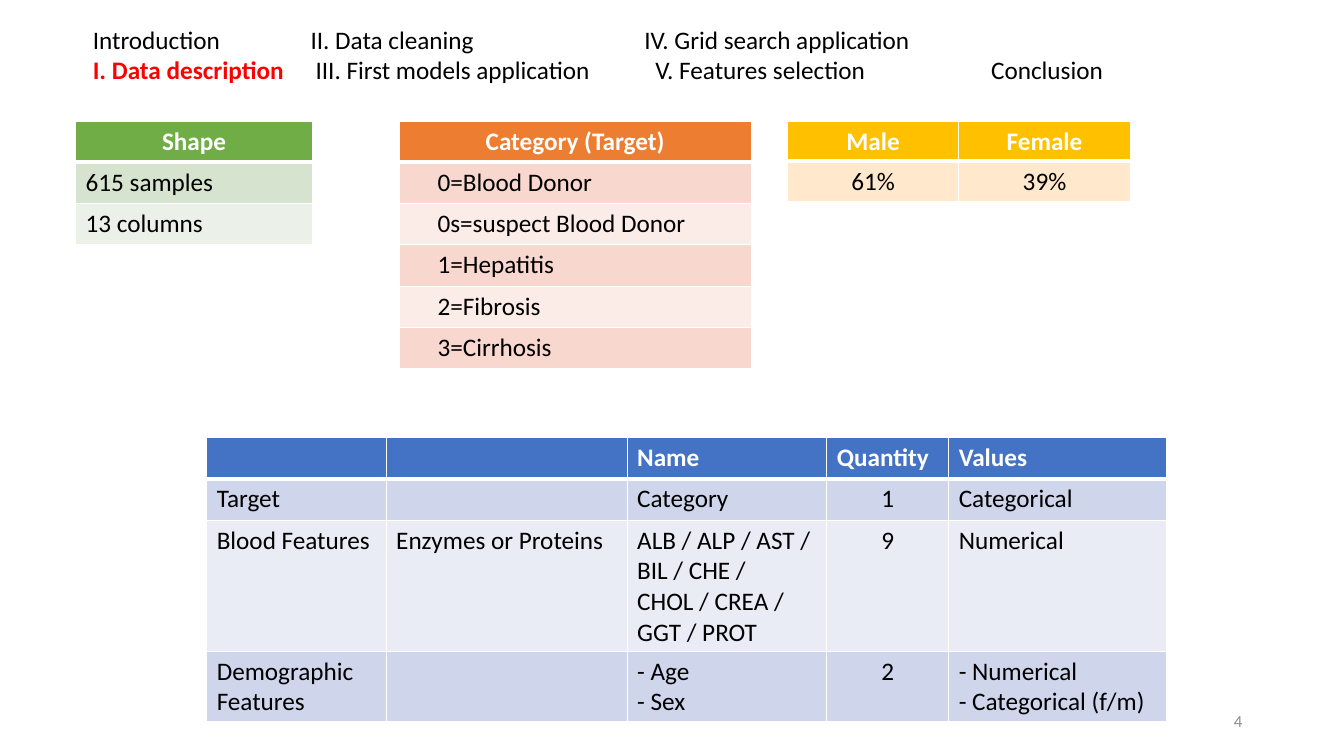
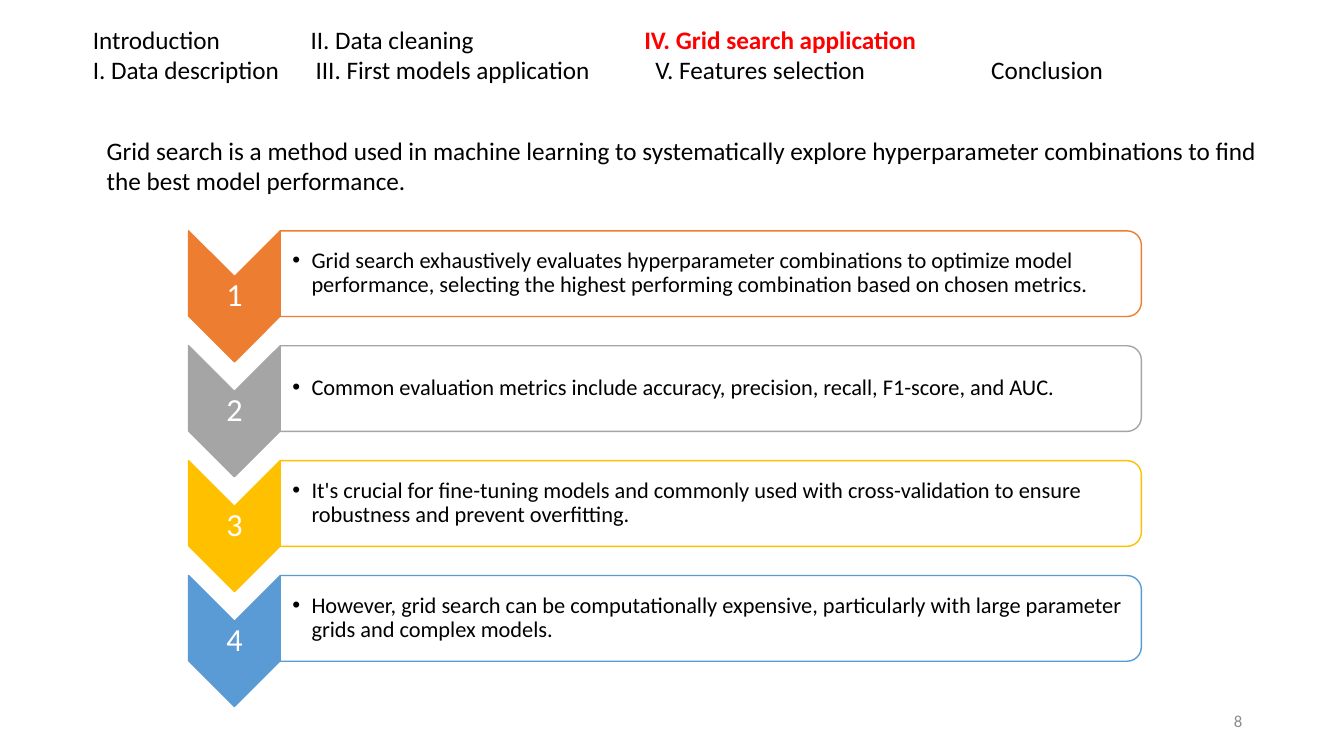
"""Builds two slides on a data set and on grid search."""
import dataclasses

import pptx
import pptx.dml.color
import pptx.enum.shapes
import pptx.enum.text
import pptx.oxml
import pptx.oxml.ns
import pptx.util

Inches = pptx.util.Inches
Align = pptx.enum.text.PP_ALIGN
Anchor = pptx.enum.text.MSO_ANCHOR
Shape = pptx.enum.shapes.MSO_SHAPE


@dataclasses.dataclass(frozen=True)
class Theme:
    font: str = "Calibri"
    black: str = "000000"
    white: str = "FFFFFF"
    red: str = "FF0000"
    muted: str = "8C8C8C"
    orange: str = "ED7D31"
    grey: str = "A5A5A5"
    gold: str = "FFC000"
    sky: str = "5B9BD5"
    blue_table: tuple = ("4472C4", "CFD5EA", "E9EBF5")
    orange_table: tuple = ("ED7D31", "F8D7CE", "FCECE8")
    green_table: tuple = ("70AD47", "D5E3CF", "EBF1E9")
    gold_table: tuple = ("FFC000", "FFE8CC", "FFF4E7")
    body_size: float = 18
    step_size: float = 16
    number_size: float = 23
    footer_size: float = 12


THEME = Theme()
SLIDE_SIZE = (13.33, 7.5)
ROW = 0.41

SECTIONS = [
    ["Introduction", "II. Data cleaning", "IV. Grid search application"],
    ["I. Data description", "III. First models application",
     "V. Features selection", "Conclusion"],
]
SECTION_TABS = [(2.16, 5.47), (2.21, 5.58, 8.91)]

TABLES = [
    dict(position=(2.05, 4.34), columns=(1.78, 2.39, 1.98, 1.21, 2.16),
         rows=(ROW, ROW, 1.3, 0.69), colors=THEME.blue_table, centered=(3,),
         cells=[
             ["", "", "Name", "Quantity", "Values"],
             ["Target", "", "Category", "1", "Categorical"],
             ["Blood Features", "Enzymes or Proteins",
              "ALB / ALP / AST / BIL / CHE / CHOL / CREA / GGT / PROT",
              "9", "Numerical"],
             ["Demographic Features", "", "- Age\n- Sex", "2",
              "- Numerical\n- Categorical (f/m)"],
         ]),
    dict(position=(3.96, 1.2), columns=(3.49,), rows=(ROW,) * 6,
         colors=THEME.orange_table, header_centered=True, indent=0.38,
         cells=[["Category (Target)"], ["0=Blood Donor"],
                ["0s=suspect Blood Donor"], ["1=Hepatitis"],
                ["2=Fibrosis"], ["3=Cirrhosis"]]),
    dict(position=(0.75, 1.2), columns=(2.35,), rows=(ROW,) * 3,
         colors=THEME.green_table, header_centered=True,
         cells=[["Shape"], ["615 samples"], ["13 columns"]]),
    dict(position=(7.81, 1.2), columns=(1.7, 1.7), rows=(0.4,) * 2,
         colors=THEME.gold_table, header_centered=True, centered=(0, 1),
         cells=[["Male", "Female"], ["61%", "39%"]]),
]

INTRODUCTION = (
    "Grid search is a method used in machine learning to systematically explore "
    "hyperparameter combinations to find the best model performance.")
STEPS = [
    (THEME.orange,
     "Grid search exhaustively evaluates hyperparameter combinations to optimize "
     "model performance, selecting the highest performing combination based on "
     "chosen metrics."),
    (THEME.grey,
     "Common evaluation metrics include accuracy, precision, recall, F1-score, "
     "and AUC."),
    (THEME.gold,
     "It's crucial for fine-tuning models and commonly used with cross-validation "
     "to ensure robustness and prevent overfitting."),
    (THEME.sky,
     "However, grid search can be computationally expensive, particularly with "
     "large parameter grids and complex models."),
]


def rgb(color):
    """Return a colour object for a hex string."""
    return pptx.dml.color.RGBColor.from_string(color)


def add_xml(parent, markup):
    """Append a drawing element to a parent element."""
    declaration = pptx.oxml.ns.nsdecls("a")
    name, separator, rest = markup.partition(" ")
    parent.append(pptx.oxml.parse_xml(f"{name} {declaration} {rest}"))


def write(frame, text, size=THEME.body_size, color=THEME.black, bold=False,
          align=Align.LEFT, anchor=Anchor.TOP, margins=None, spacing=None,
          bullet_indent=None, tabs=None, highlight=None):
    """Fill a text frame, one paragraph a line and one run a tab stop."""
    frame.word_wrap = True
    frame.vertical_anchor = anchor
    if margins:
        (frame.margin_left, frame.margin_top,
         frame.margin_right, frame.margin_bottom) = map(Inches, margins)
    for row, line in enumerate(text.split("\n")):
        paragraph = frame.add_paragraph() if row else frame.paragraphs[0]
        properties = paragraph._p.get_or_add_pPr()
        if bullet_indent:
            properties.set("marL", str(Inches(bullet_indent)))
            properties.set("indent", str(-Inches(bullet_indent)))
            add_xml(properties, '<a:buFont typeface="Arial"/>')
            add_xml(properties, '<a:buChar char="•"/>')
        if tabs:
            stops = "".join(f'<a:tab pos="{Inches(stop)}" algn="l"/>'
                            for stop in tabs[row])
            add_xml(properties, f"<a:tabLst >{stops}</a:tabLst>")
        paragraph.alignment = align
        if spacing:
            paragraph.line_spacing = spacing
        paragraph.font.size = pptx.util.Pt(size)
        for index, piece in enumerate(line.split("\t")):
            run = paragraph.add_run()
            run.text = "\t" * bool(index) + piece
            marked = piece == highlight
            run.font.name = THEME.font
            run.font.size = pptx.util.Pt(size)
            run.font.bold = bold or marked
            run.font.color.rgb = rgb(THEME.red if marked else color)


def add_text(slide, box, text, **text_format):
    """Add a text box with the given left, top, width and height."""
    write(slide.shapes.add_textbox(*map(Inches, box)).text_frame, text, **text_format)


def add_section_slide(presentation, current, number):
    """Add a slide with the section list as title and its page number."""
    slide = presentation.slides.add_slide(presentation.slide_layouts[5])
    title = slide.shapes.title
    title.left, title.top, title.width, title.height = map(
        Inches, (0.82, 0.19, 12.5, 1.01))
    title.text_frame.auto_size = pptx.enum.text.MSO_AUTO_SIZE.NONE
    write(title.text_frame, "\n".join("\t".join(line) for line in SECTIONS),
          tabs=SECTION_TABS, highlight=current)
    add_text(slide, (9.42, 6.95, 3, 0.4), str(number), size=THEME.footer_size,
             color=THEME.muted, align=Align.RIGHT, anchor=Anchor.MIDDLE)
    return slide


def add_border(cell, side, width):
    """Draw one white cell border."""
    add_xml(cell._tc.get_or_add_tcPr(),
            f'<a:{side} w="{pptx.util.Pt(width)}"><a:solidFill>'
            f'<a:srgbClr val="{THEME.white}"/></a:solidFill></a:{side}>')


def add_table(slide, position, columns, rows, colors, cells,
              centered=(), header_centered=False, indent=None):
    """Add a banded table with a bold header row."""
    box = (*position, sum(columns), sum(rows))
    table = slide.shapes.add_table(
        len(rows), len(columns), *map(Inches, box)).table
    for column, width in zip(table.columns, columns):
        column.width = Inches(width)
    for row_index, (height, values) in enumerate(zip(rows, cells)):
        table.rows[row_index].height = Inches(height)
        header = row_index == 0
        fill = colors[0] if header else colors[2 - row_index % 2]
        for column_index, value in enumerate(values):
            cell = table.cell(row_index, column_index)
            middle = header_centered if header else column_index in centered
            if value:
                write(cell.text_frame, value, bold=header,
                      color=THEME.white if header else THEME.black,
                      align=Align.CENTER if middle else Align.LEFT)
            if indent and not header:
                cell.margin_left = Inches(indent)
            for side in ("lnL", "lnR", "lnT", "lnB"):
                thick = (header and side == "lnB") or (row_index == 1 and side == "lnT")
                add_border(cell, side, 3 if thick else 1)
            cell.fill.solid()
            cell.fill.fore_color.rgb = rgb(fill)


def add_turned_shape(slide, kind, box, fill, line):
    """Add a shape turned a quarter so that it covers the given box."""
    left, top, width, height = box
    offset = (width - height) / 2
    shape = slide.shapes.add_shape(
        kind, *map(Inches, (left + offset, top - offset, height, width)))
    shape.rotation = 90
    shape.shadow.inherit = False
    shape.fill.solid()
    shape.fill.fore_color.rgb = rgb(fill)
    shape.line.color.rgb = rgb(line)
    shape.line.width = pptx.util.Pt(1)


def add_steps(slide, left=1.87, top=2.29, pitch=1.14):
    """Add a numbered chevron and a text bar for each step."""
    chevron_width, chevron_height, bar_width, bar_height = 0.91, 1.3, 8.54, 0.85
    bar_left = left + chevron_width
    for index, (color, text) in enumerate(STEPS):
        step_top = top + index * pitch
        add_turned_shape(slide, Shape.CHEVRON,
                         (left, step_top, chevron_width, chevron_height), color, color)
        add_text(slide, (left, step_top + chevron_width / 2, chevron_width, 0.39),
                 str(index + 1), size=THEME.number_size, color=THEME.white,
                 align=Align.CENTER, anchor=Anchor.MIDDLE, margins=(0.02,) * 4,
                 spacing=0.9)
        add_turned_shape(slide, Shape.ROUND_2_SAME_RECTANGLE,
                         (bar_left, step_top, bar_width, bar_height),
                         THEME.white, color)
        add_text(slide, (bar_left, step_top + 0.04, 8.5, 0.76), text,
                 size=THEME.step_size, anchor=Anchor.MIDDLE,
                 margins=(0.12, 0.01, 0.01, 0.01), spacing=0.9, bullet_indent=0.19)


def main():
    """Build and save the presentation."""
    presentation = pptx.Presentation()
    presentation.slide_width, presentation.slide_height = map(Inches, SLIDE_SIZE)

    description = add_section_slide(presentation, "I. Data description", 4)
    for table in TABLES:
        add_table(description, **table)

    grid_search = add_section_slide(presentation, "IV. Grid search application", 8)
    add_steps(grid_search)
    add_text(grid_search, (0.96, 1.29, 11.65, 0.71), INTRODUCTION)

    presentation.save("out.pptx")


if __name__ == "__main__":
    main()
